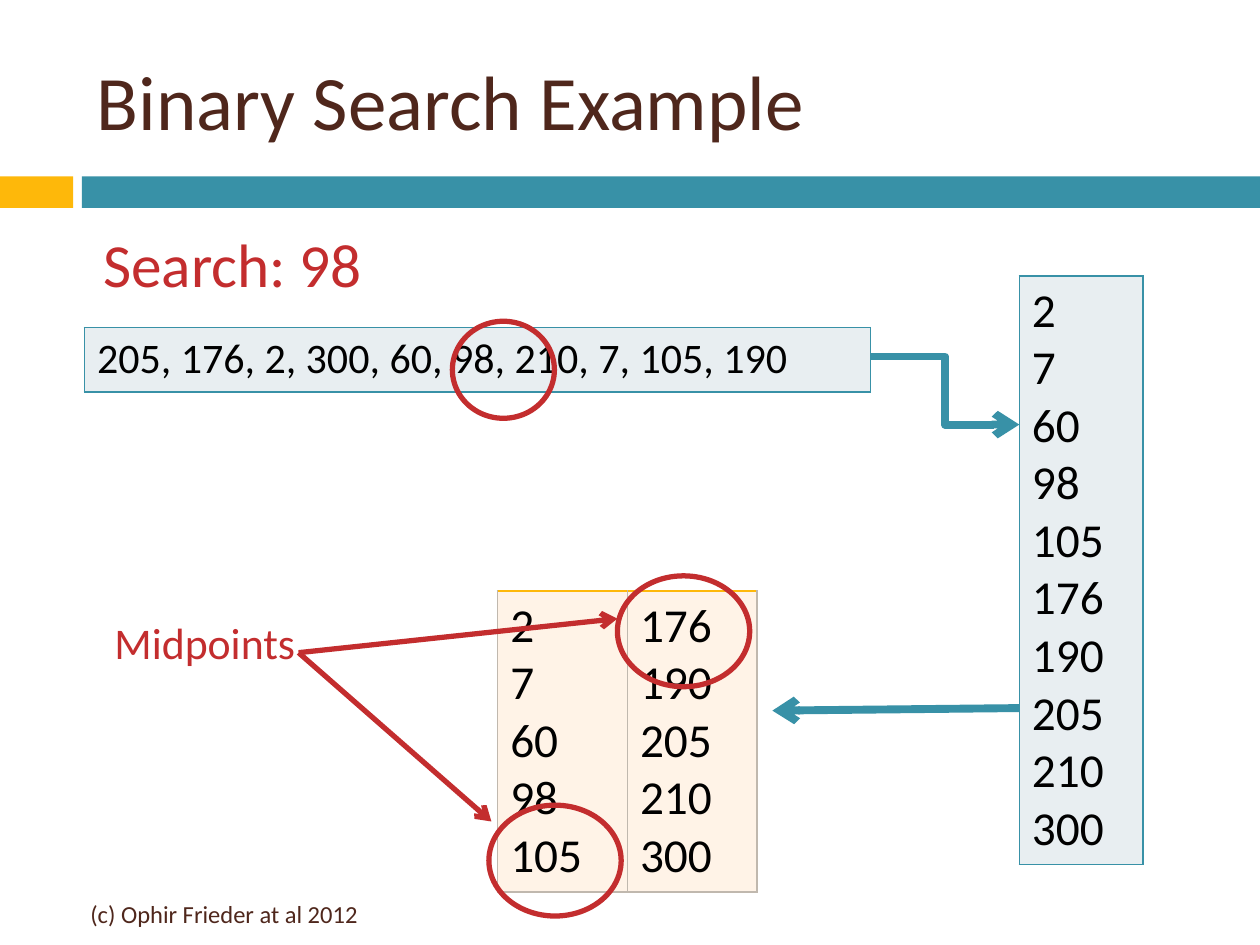
"""Build the binary search example slide on a grid of 100 columns by 75 rows."""
from dataclasses import dataclass

from lxml.etree import SubElement
from pptx import Presentation
from pptx.dml.color import RGBColor
from pptx.enum.shapes import MSO_CONNECTOR as Connector, MSO_SHAPE as Preset
from pptx.enum.text import MSO_ANCHOR as Anchor, PP_ALIGN as Align
from pptx.oxml import parse_xml
from pptx.oxml.ns import nsdecls, qn
from pptx.util import Inches, Pt

COLORS = {
    "teal": "3891A7", "gold": "FEB80A", "red": "C32D2E", "brown": "4F271C",
    "black": "000000", "mist": "E8EEF1", "cream": "FFF3E7", "gray": "C0B8AE",
}
FONT = "Calibri"
CELL = 0.1
COLUMNS, ROWS = 100, 75
UNSORTED = [205, 176, 2, 300, 60, 98, 210, 7, 105, 190]
SORTED = sorted(UNSORTED)
HALF = len(SORTED) // 2


@dataclass(frozen=True)
class Box:
    """A rectangle in grid columns and rows."""
    column: float
    row: float
    width: float
    height: float

    def lengths(self) -> list[int]:
        return [grid(value) for value in (self.column, self.row, self.width, self.height)]


@dataclass(frozen=True)
class Label:
    """A line of text in a box."""
    box: Box
    text: str
    size: float
    color: str
    anchor: Anchor = Anchor.TOP
    align: Align = Align.LEFT


@dataclass(frozen=True)
class Listing:
    """A one-row table whose cells hold lines of text."""
    box: Box
    cells: list[list[str]]
    size: float
    fill: str
    edge: str
    top: str


@dataclass(frozen=True)
class Arrow:
    """A connector with an arrowhead at its end."""
    start: tuple[float, float]
    end: tuple[float, float]
    color: str
    weight: float
    kind: Connector = Connector.STRAIGHT


def grid(value: float) -> int:
    """Turn grid cells into a length."""
    return Inches(value * CELL)


def rgb(name: str) -> RGBColor:
    """Look up a named colour."""
    return RGBColor.from_string(COLORS[name])


def write(frame, lines: list[str], size: float, color: str, align: Align = Align.LEFT) -> None:
    """Fill a text frame with one paragraph per line."""
    for index, line in enumerate(lines):
        paragraph = frame.paragraphs[0] if index == 0 else frame.add_paragraph()
        paragraph.text = line
        paragraph.alignment = align
        paragraph.font.name = FONT
        paragraph.font.size = Pt(size)
        paragraph.font.color.rgb = rgb(color)


def draw_bar(slide, box: Box, color: str) -> None:
    """Draw a filled bar."""
    shape = slide.shapes.add_shape(Preset.RECTANGLE, *box.lengths())
    shape.shadow.inherit = False
    shape.fill.solid()
    shape.fill.fore_color.rgb = rgb(color)
    shape.line.fill.background()


def draw_ring(slide, box: Box) -> None:
    """Draw a red ring."""
    shape = slide.shapes.add_shape(Preset.OVAL, *box.lengths())
    shape.shadow.inherit = False
    shape.fill.background()
    shape.line.color.rgb = rgb("red")
    shape.line.width = Pt(3)


def draw_label(slide, label: Label) -> None:
    """Draw a text box."""
    frame = slide.shapes.add_textbox(*label.box.lengths()).text_frame
    frame.word_wrap = True
    frame.vertical_anchor = label.anchor
    write(frame, [label.text], label.size, label.color, label.align)


def draw_listing(slide, listing: Listing) -> None:
    """Draw a one-row table with bordered cells."""
    shape = slide.shapes.add_table(1, len(listing.cells), *listing.box.lengths())
    table = shape.table
    table.first_row = table.horz_banding = False
    for cell, lines in zip(table.rows[0].cells, listing.cells):
        cell.fill.solid()
        cell.fill.fore_color.rgb = rgb(listing.fill)
        write(cell.text_frame, lines, listing.size, "black")
        edges = dict.fromkeys(("lnL", "lnR", "lnT", "lnB"), listing.edge) | {"lnT": listing.top}
        for index, (edge, color) in enumerate(edges.items()):
            border = parse_xml(
                f'<a:{edge} {nsdecls("a")} w="{Pt(1)}"><a:solidFill>'
                f'<a:srgbClr val="{COLORS[color]}"/></a:solidFill></a:{edge}>')
            cell._tc.get_or_add_tcPr().insert(index, border)


def draw_arrow(slide, arrow: Arrow) -> None:
    """Draw a connector with an open arrowhead."""
    points = [grid(value) for value in (*arrow.start, *arrow.end)]
    connector = slide.shapes.add_connector(arrow.kind, *points)
    connector.line.color.rgb = rgb(arrow.color)
    connector.line.width = Pt(arrow.weight)
    SubElement(connector.line._get_or_add_ln(), qn("a:tailEnd"), type="arrow")
    SubElement(connector._element.spPr, qn("a:effectLst"))


def main() -> None:
    """Assemble and save the slide."""
    presentation = Presentation()
    presentation.slide_width, presentation.slide_height = grid(COLUMNS), grid(ROWS)
    slide = presentation.slides.add_slide(presentation.slide_layouts[6])

    draw_bar(slide, Box(0, 14, 5.8, 2.5), "gold")
    draw_bar(slide, Box(6.5, 14, COLUMNS - 6.5, 2.5), "teal")

    numbers = [str(number) for number in SORTED]
    listings = [
        Listing(Box(6.7, 26, 62.4, 5.1), [[", ".join(map(str, UNSORTED))]],
                24, "mist", "teal", "teal"),
        Listing(Box(80.9, 21.9, 9.8, 46.7), [numbers], 27, "mist", "teal", "teal"),
        Listing(Box(39.5, 46.9, 20.6, 23.9), [numbers[:HALF], numbers[HALF:]],
                27, "cream", "gray", "gold"),
    ]
    for listing in listings:
        draw_listing(slide, listing)

    for box in (Box(38.8, 63.9, 10.5, 8.8), Box(49, 45.7, 10.5, 8.8), Box(35.9, 25.5, 8.1, 7.7)):
        draw_ring(slide, box)

    midpoints = (23.7, 51.8)
    arrows = [
        Arrow((69.1, 28.3), (80.9, 33.7), "teal", 4.5, Connector.ELBOW),
        Arrow((80.9, 56.2), (61.3, 56.4), "teal", 4.5),
        Arrow(midpoints, (39, 65.2), "red", 3),
        Arrow(midpoints, (49, 49.1), "red", 3),
    ]
    for arrow in arrows:
        draw_arrow(slide, arrow)

    labels = [
        Label(Box(6.7, 2.5, 89.2, 10.8), "Binary Search Example", 44, "brown", Anchor.MIDDLE),
        Label(Box(7.2, 17.5, 42.6, 6.9), "Search: 98", 35, "red"),
        Label(Box(8.1, 48.4, 20.5, 5.2), "Midpoints", 25, "red"),
        Label(Box(0.3, 70.4, 29.1, 4.2), "(c) Ophir Frieder at al 2012", 14, "brown",
              Anchor.MIDDLE, Align.RIGHT),
    ]
    for label in labels:
        draw_label(slide, label)

    presentation.save("out.pptx")


main()
